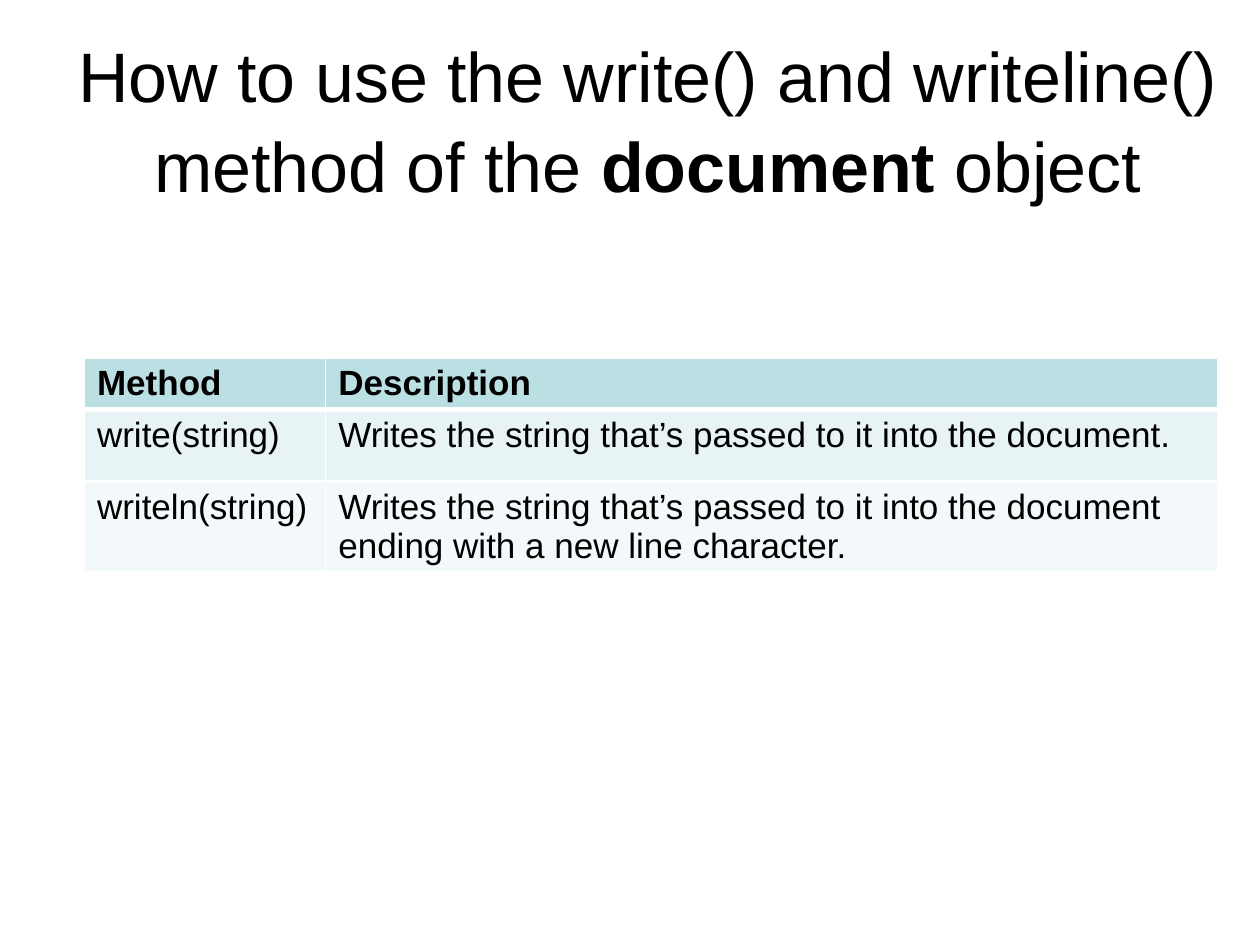
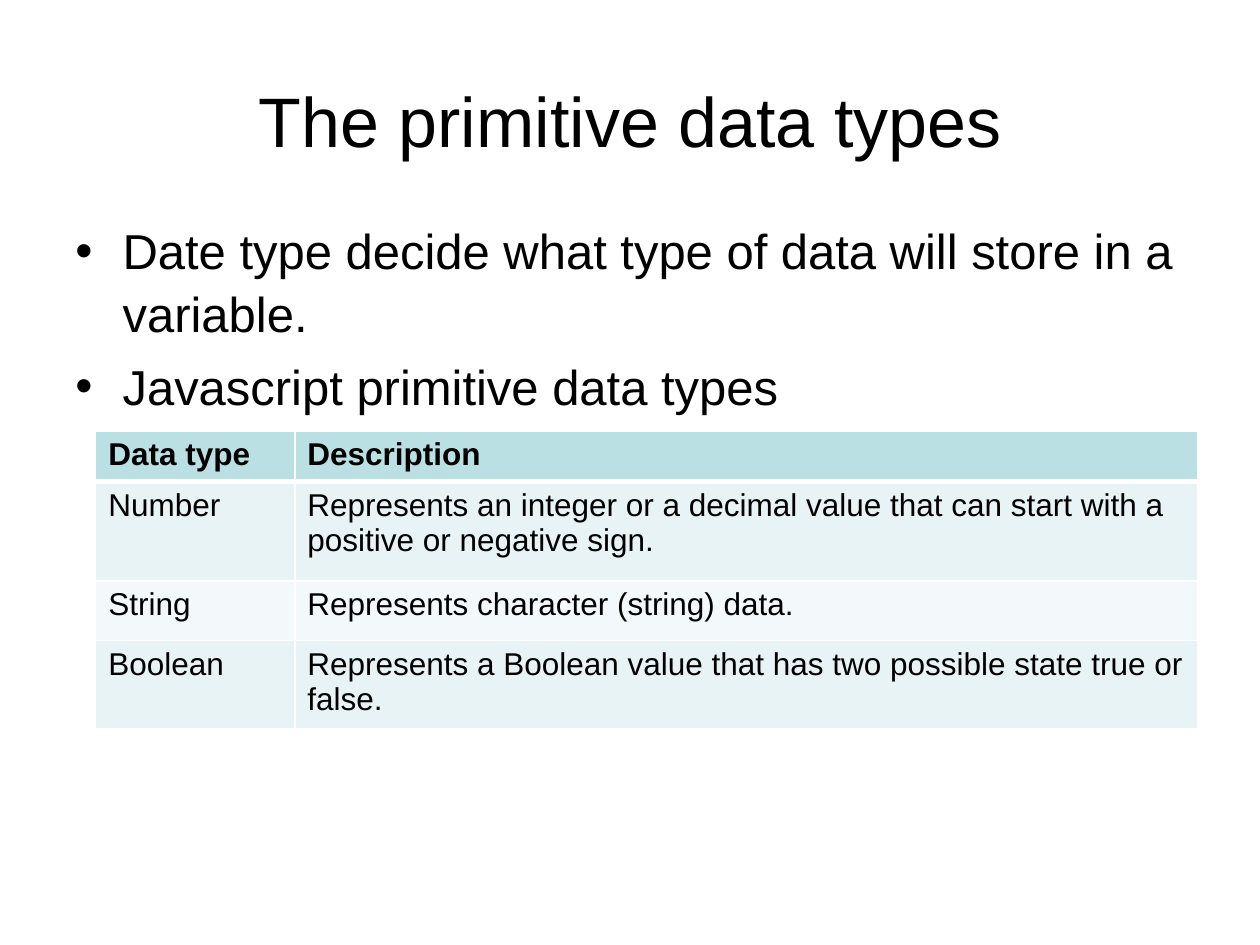
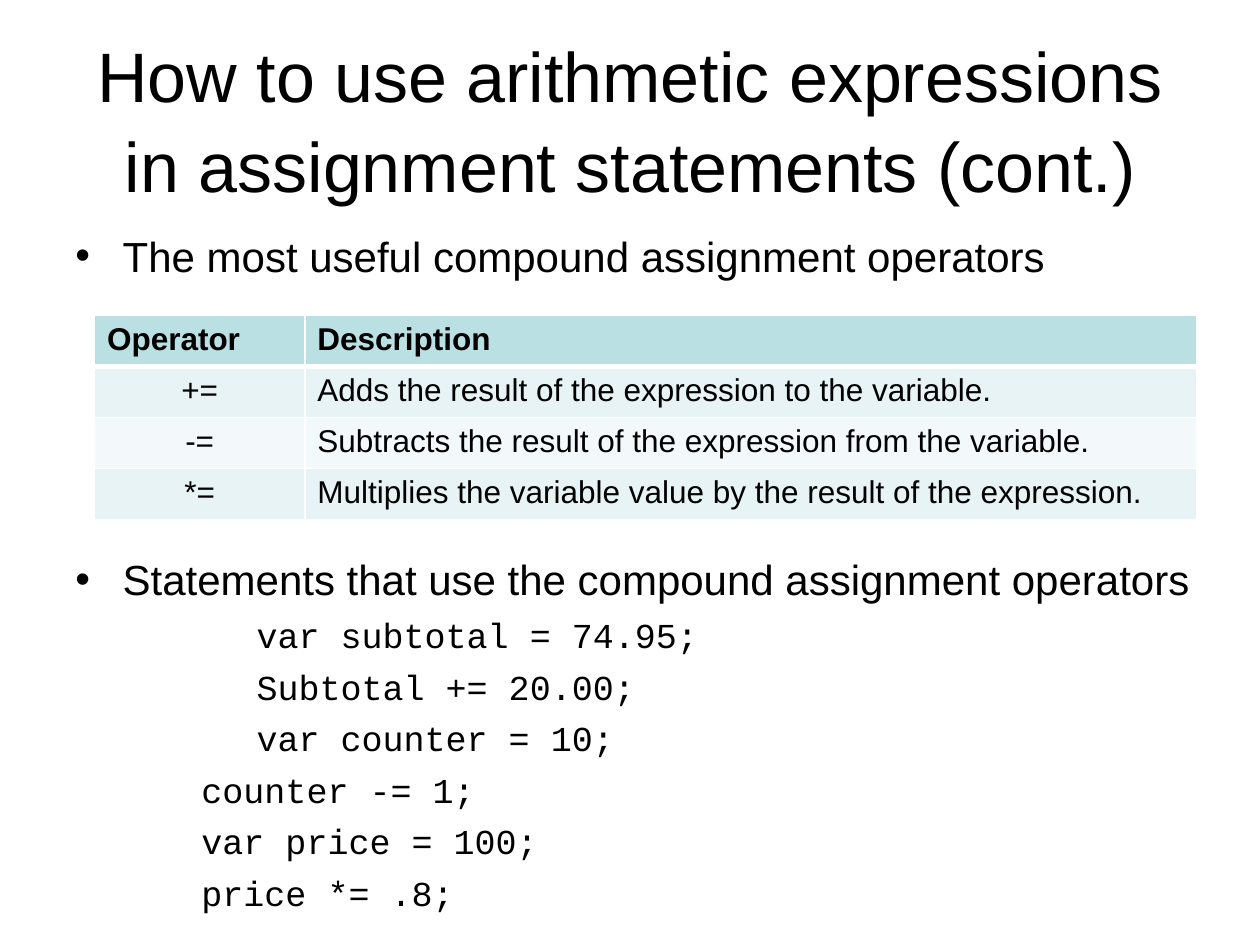
from dataclasses import dataclass

from lxml.etree import SubElement as Sub
from pptx import Presentation
from pptx.dml.color import RGBColor as Rgb
from pptx.enum.text import MSO_ANCHOR as Anchor, MSO_AUTO_SIZE as Fit, PP_ALIGN as Align
from pptx.oxml.ns import qn
from pptx.util import Inches, Pt

COLS, ROWS = 40, 30


@dataclass(frozen=True)
class Theme:
    ink: str = "000000"
    paper: str = "FFFFFF"
    head: str = "BBE0E3"
    bands: tuple = ("E7F3F4", "F3F9FA")
    sans: str = "Arial"
    mono: str = "Courier New"
    title_size: int = 40
    code_size: int = 20
    rule: int = 1
    head_rule: int = 3
    leading: float = 1.07
    code_leading: float = 1.06


THEME = Theme()


def write(paragraph, text, size, font=THEME.sans, bold=False, align=Align.LEFT,
          leading=None, before=0):
    run = paragraph.add_run()
    run.text = text
    run.font.size, run.font.name, run.font.bold = Pt(size), font, bold
    run.font.color.rgb = Rgb.from_string(THEME.ink)
    paragraph.alignment = align
    paragraph.space_before = Pt(before)
    if leading:
        paragraph.line_spacing = leading


class Deck:
    def __init__(self, theme):
        self.theme = theme
        self.show = Presentation()
        self.show.slide_width, self.show.slide_height = Inches(10), Inches(7.5)
        self.slide = None

    def across(self, cols):
        return round(self.show.slide_width * cols / COLS)

    def down(self, rows):
        return round(self.show.slide_height * rows / ROWS)

    def box(self, left, top, width, height):
        return self.across(left), self.down(top), self.across(width), self.down(height)

    def page(self, *pieces, width=36):
        self.slide = self.show.slides.add_slide(self.show.slide_layouts[5])
        title = self.slide.shapes.title
        title.left, title.top, title.width, title.height = self.box(2, 1.2, width, 5)
        frame = title.text_frame
        frame.auto_size, frame.word_wrap = Fit.NONE, True
        frame.vertical_anchor = Anchor.MIDDLE
        for piece, bold in pieces:
            write(frame.paragraphs[0], piece, self.theme.title_size, bold=bold,
                  align=Align.CENTER, leading=self.theme.leading)

    def body(self, *place):
        frame = self.slide.shapes.add_textbox(*self.box(*place)).text_frame
        frame.word_wrap = True
        return frame

    def line(self, frame, text, size, **style):
        first = frame.paragraphs[0]
        paragraph = frame.add_paragraph() if first.runs else first
        write(paragraph, text, size, **style)
        return paragraph._p.get_or_add_pPr()

    def bullet(self, frame, text, size, before=0):
        props = self.line(frame, text, size, before=before, leading=self.theme.leading)
        hang = self.across(1.5)
        props.set("marL", str(hang))
        props.set("indent", str(-hang))
        Sub(Sub(props, qn("a:buClr")), qn("a:srgbClr"), val=self.theme.ink)
        Sub(props, qn("a:buFont"), typeface=self.theme.sans)
        Sub(props, qn("a:buChar"), char="•")

    def code(self, frame, text, indent):
        props = self.line(frame, text, self.theme.code_size, font=self.theme.mono,
                          before=4, leading=self.theme.code_leading)
        props.set("marL", str(self.across(indent)))
        props.set("indent", "0")

    def rules(self, cell, above, below):
        props = cell._tc.get_or_add_tcPr()
        for side, weight in zip("LRTB", (self.theme.rule, self.theme.rule, above, below)):
            edge = Sub(props, qn(f"a:ln{side}"), w=str(Pt(weight)))
            Sub(Sub(edge, qn("a:solidFill")), qn("a:srgbClr"), val=self.theme.paper)

    def table(self, left, top, widths, heights, records, size, key_align=Align.LEFT):
        place = self.box(left, top, sum(widths), sum(heights))
        grid = self.slide.shapes.add_table(len(records), len(widths), *place).table
        for column, width in zip(grid.columns, widths):
            column.width = self.across(width)
        for r, record in enumerate(records):
            grid.rows[r].height = self.down(heights[r])
            for c, text in enumerate(record):
                cell = grid.cell(r, c)
                self.rules(cell, self.theme.head_rule if r == 1 else self.theme.rule,
                           self.theme.head_rule if r == 0 else self.theme.rule)
                shade = self.theme.bands[(r - 1) % 2] if r else self.theme.head
                cell.fill.solid()
                cell.fill.fore_color.rgb = Rgb.from_string(shade)
                write(cell.text_frame.paragraphs[0], text, size, bold=r == 0,
                      align=key_align if r and c == 0 else Align.LEFT)


def write_methods(deck):
    deck.page(("How to use the write() and writeline() method of the ", False),
              ("document", True), (" object", False), width=37.12)
    deck.table(2.68, 11.36, (7.66, 28.32), (1.6, 2.27, 2.86), (
        ("Method", "Description"),
        ("write(string)", "Writes the string that’s passed to it into the document."),
        ("writeln(string)", "Writes the string that’s passed to it into the document "
                            "ending with a new line character."),
    ), size=20)


def data_types(deck):
    deck.page(("The primitive data types", False))
    points = deck.body(2, 6.68, 36, 19.8)
    deck.bullet(points, "Date type decide what type of data will store in a variable.", 28)
    deck.bullet(points, "Javascript primitive data types", 28, before=5.6)
    deck.table(3.04, 13.68, (6.32, 28.68), (1.6, 3.16, 1.9, 2.64), (
        ("Data type", "Description"),
        ("Number", "Represents an integer or a decimal value that can start with a "
                   "positive or negative sign."),
        ("String", "Represents character (string) data."),
        ("Boolean", "Represents a Boolean value that has two possible state true or false."),
    ), size=18)


def compound_operators(deck):
    deck.page(("How to use arithmetic expressions in assignment statements (cont.)", False))
    points = deck.body(2, 7, 37, 23)
    deck.bullet(points, "The most useful compound assignment operators", 24)
    deck.bullet(points, "Statements that use the compound assignment operators", 24, before=154)
    for statement in ("var subtotal = 74.95;", "Subtotal += 20.00;", "var counter = 10;"):
        deck.code(points, statement, indent=5.75)
    for statement in ("counter -= 1;", "var price = 100;", "price *= .8;"):
        deck.code(points, statement, indent=4)
    deck.table(3, 10.02, (6.68, 28.32), (1.62,) * 4, (
        ("Operator", "Description"),
        ("+=", "Adds the result of the expression to the variable."),
        ("-=", "Subtracts the result of the expression from the variable."),
        ("*=", "Multiplies the variable value by the result of the expression."),
    ), size=18, key_align=Align.CENTER)


def main():
    deck = Deck(THEME)
    for build in (write_methods, data_types, compound_operators):
        build(deck)
    deck.show.save("out.pptx")


if __name__ == "__main__":
    main()
